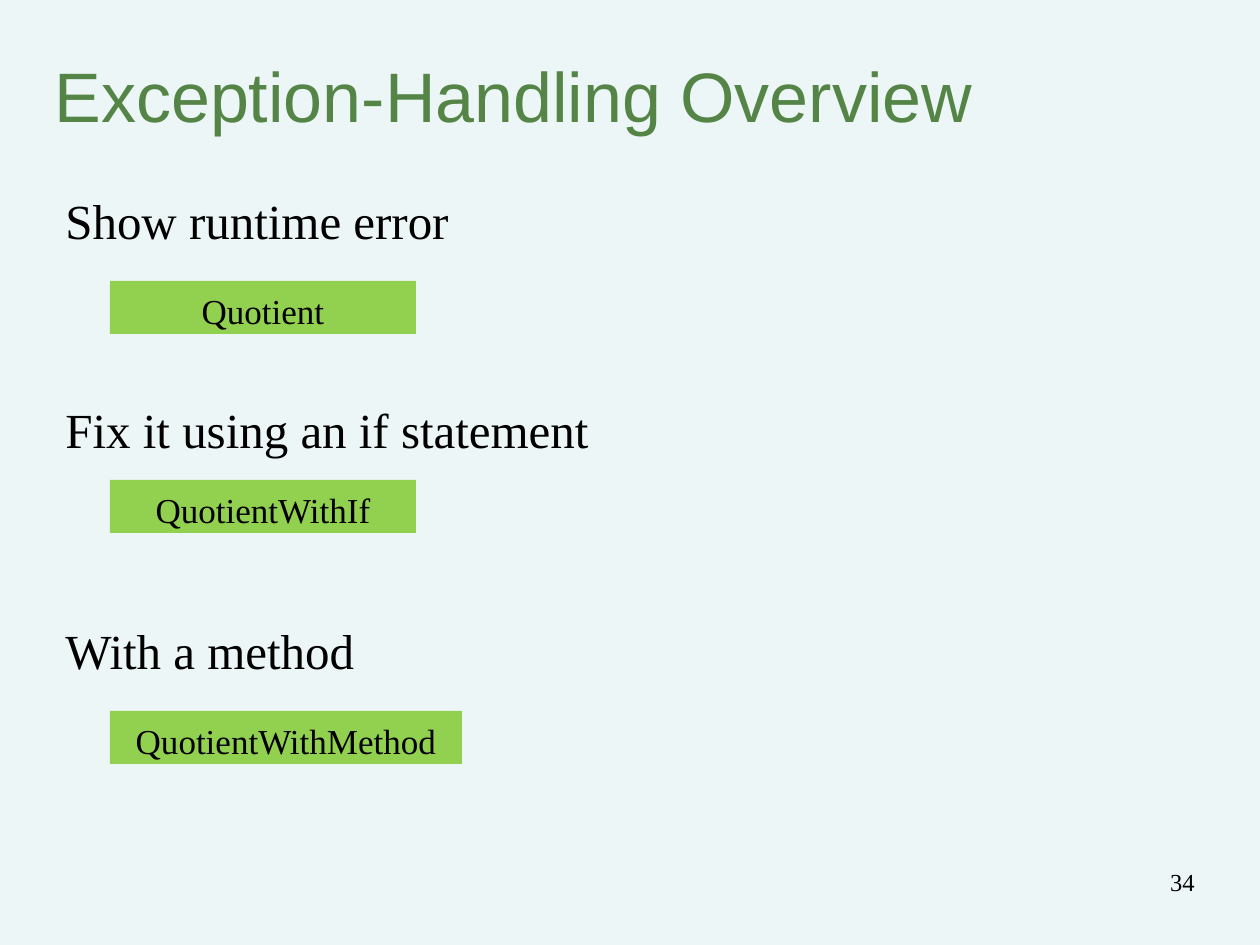
from dataclasses import dataclass

from pptx import Presentation
from pptx.dml.color import RGBColor
from pptx.enum.shapes import MSO_SHAPE
from pptx.enum.text import MSO_ANCHOR, MSO_AUTO_SIZE, PP_ALIGN
from pptx.util import Emu, Pt

PX_PER_INCH = 126
COLORS = {
    "background": "EDF6F7",
    "title": "548446",
    "text": "000000",
    "button": "92D050",
}
SERIF = "Times New Roman"
HEADING_LEFT, HEADING_WIDTH, HEADING_HEIGHT = 53, 1176, 72
BUTTON_LEFT, BUTTON_HEIGHT = 110, 53


@dataclass(frozen=True)
class Example:
    heading: str
    heading_top: int
    program: str
    button_top: int
    button_width: int = 306


EXAMPLES = [
    Example("Show runtime error", 179, "Quotient", 281),
    Example("Fix it using an if statement", 388, "QuotientWithIf", 480),
    Example("With a method", 609, "QuotientWithMethod", 711, 352),
]


def px(length: int) -> Emu:
    return Emu(round(length * 914400 / PX_PER_INCH))


def color(name: str) -> RGBColor:
    return RGBColor.from_string(COLORS[name])


def set_text(shape, text: str, size: int, align=PP_ALIGN.LEFT,
             anchor=MSO_ANCHOR.TOP, font: str = SERIF,
             color_name: str = "text") -> None:
    frame = shape.text_frame
    frame.text = text
    frame.word_wrap = True
    frame.auto_size = MSO_AUTO_SIZE.NONE
    frame.vertical_anchor = anchor
    paragraph = frame.paragraphs[0]
    paragraph.alignment = align
    paragraph.font.name = font
    paragraph.font.size = Pt(size)
    paragraph.font.color.rgb = color(color_name)


def add_example(slide, example: Example) -> None:
    heading = slide.shapes.add_textbox(
        px(HEADING_LEFT), px(example.heading_top),
        px(HEADING_WIDTH), px(HEADING_HEIGHT))
    set_text(heading, example.heading, 28)
    heading.text_frame.margin_top = px(11)

    button = slide.shapes.add_shape(
        MSO_SHAPE.RECTANGLE, px(BUTTON_LEFT), px(example.button_top),
        px(example.button_width), px(BUTTON_HEIGHT))
    button.shadow.inherit = False
    button.fill.solid()
    button.fill.fore_color.rgb = color("button")
    button.line.fill.background()
    set_text(button, example.program, 20, PP_ALIGN.CENTER)
    button.text_frame.margin_top = px(9)
    button.text_frame.margin_bottom = 0


def main() -> None:
    presentation = Presentation()
    presentation.slide_width = px(1260)
    presentation.slide_height = px(945)
    slide = presentation.slides.add_slide(presentation.slide_layouts[5])
    slide.background.fill.solid()
    slide.background.fill.fore_color.rgb = color("background")

    # Title
    title = slide.shapes.title
    title.left, title.top = px(42), px(53)
    title.width, title.height = px(1176), px(84)
    set_text(title, "Exception-Handling Overview", 40,
             anchor=MSO_ANCHOR.MIDDLE, font="Arial", color_name="title")

    # Headings, each with its program button
    for example in EXAMPLES:
        add_example(slide, example)

    # Slide number
    number = slide.shapes.add_textbox(px(945), px(840), px(262), px(63))
    set_text(number, "34", 14, PP_ALIGN.RIGHT, MSO_ANCHOR.BOTTOM)

    presentation.save("out.pptx")


if __name__ == "__main__":
    main()
